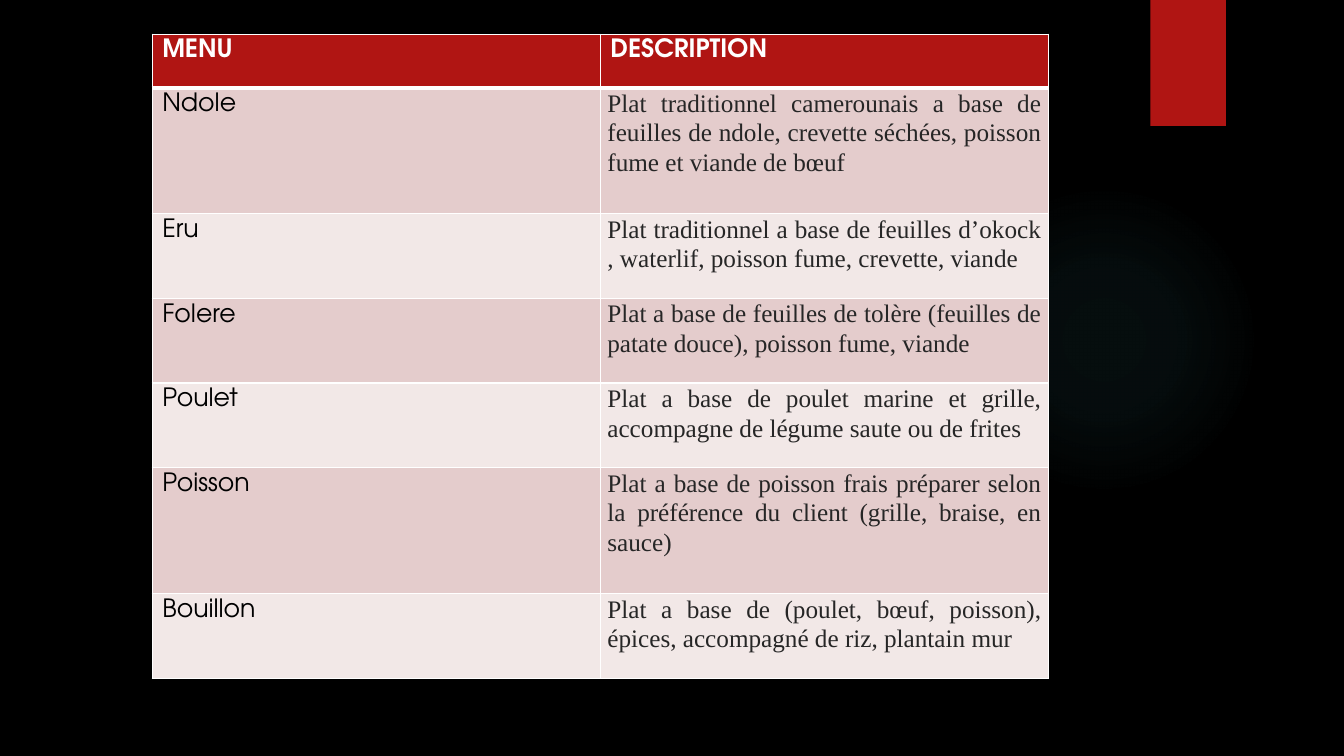
"""Build a restaurant menu slide with a two-column table."""
from dataclasses import dataclass

import lxml.etree
import pptx
import pptx.dml.color
import pptx.enum.shapes
import pptx.enum.text
import pptx.oxml
import pptx.oxml.ns
import pptx.util

Inches = pptx.util.Inches
Pt = pptx.util.Pt
RGB = pptx.dml.color.RGBColor.from_string
SHAPE = pptx.enum.shapes.MSO_SHAPE
ALIGN = pptx.enum.text.PP_ALIGN
NS = pptx.oxml.ns.nsdecls("a")


@dataclass(frozen=True)
class Theme:
    background: str = "000000"
    accent: str = "B01513"
    glow: str = "50B9C1"
    white: str = "FFFFFF"
    dish: str = "000000"
    body: str = "262626"
    bands: tuple = ("E4CCCC", "F2E8E7")
    heading_font: str = "TeX Gyre Adventor"
    body_font: str = "Times New Roman"
    size: int = 18
    thin: int = 1
    thick: int = 3


class MenuSlide:
    def __init__(self, prs, theme):
        self.theme = theme
        self.s = prs.slides.add_slide(prs.slide_layouts[6])
        fill = self.s.background.fill
        fill.solid()
        fill.fore_color.rgb = RGB(theme.background)

    def shape(self, kind, left, top, width, height):
        sp = self.s.shapes.add_shape(
            kind, Inches(left), Inches(top), Inches(width), Inches(height))
        sp.shadow.inherit = False
        sp.line.fill.background()
        return sp

    def glow(self, left, top, size):
        sp = self.shape(SHAPE.OVAL, left, top, size, size)
        sp.fill.gradient()
        grad = sp.element.spPr.find(pptx.oxml.ns.qn("a:gradFill"))
        stops = "".join(
            f'<a:gs pos="{pos * 1000}"><a:srgbClr val="{self.theme.glow}">'
            f'<a:alpha val="{alpha * 1000}"/></a:srgbClr></a:gs>'
            for pos, alpha in ((0, 7), (36, 6), (69, 0)))
        radial = pptx.oxml.parse_xml(
            f'<a:gradFill {NS} rotWithShape="1"><a:gsLst>{stops}</a:gsLst>'
            '<a:path path="circle"><a:fillToRect l="50000" t="50000" '
            'r="50000" b="50000"/></a:path></a:gradFill>')
        grad.getparent().replace(grad, radial)

    def ribbon(self, left, top, width, height):
        sp = self.shape(SHAPE.RECTANGLE, left, top, width, height)
        sp.fill.solid()
        sp.fill.fore_color.rgb = RGB(self.theme.accent)
        effects = sp.element.spPr.find(pptx.oxml.ns.qn("a:effectLst"))
        effects.append(pptx.oxml.parse_xml(
            f'<a:outerShdw {NS} blurRad="{Pt(3)}" dist="{Pt(2)}" dir="5400000">'
            '<a:srgbClr val="000000"><a:alpha val="45000"/></a:srgbClr>'
            '</a:outerShdw>'))

    def borders(self, cell, top, bottom):
        tcPr = cell._tc.get_or_add_tcPr()
        thin = self.theme.thin
        sides = (("lnL", thin), ("lnR", thin), ("lnT", top), ("lnB", bottom))
        for i, (side, width) in enumerate(sides):
            tcPr.insert(i, pptx.oxml.parse_xml(
                f'<a:{side} {NS} w="{Pt(width)}"><a:solidFill>'
                f'<a:srgbClr val="{self.theme.white}"/></a:solidFill></a:{side}>'))

    def cell(self, cell, text, fill, font, color, bold=False):
        cell.fill.solid()
        cell.fill.fore_color.rgb = RGB(fill)
        cell.text_frame.text = text
        p = cell.text_frame.paragraphs[0]
        r = p.runs[0]
        r.font.name = font
        r.font.size = Pt(self.theme.size)
        r.font.bold = bold
        r.font.color.rgb = RGB(color)
        return p

    def description(self, cell, text, fill):
        p = self.cell(cell, text, fill, self.theme.body_font, self.theme.body)
        p.alignment = ALIGN.JUSTIFY
        p.line_spacing = 1.07
        cell.margin_left = cell.margin_right = Inches(0.07)
        cell.margin_top = cell.margin_bottom = 0

    def table(self, left, top, width, heights, headings, dishes):
        t = self.theme
        table = self.s.shapes.add_table(
            len(heights), len(headings), Inches(left), Inches(top),
            Inches(width), Inches(sum(heights))).table
        for row, height in zip(table.rows, heights):
            row.height = Inches(height)
        for col, heading in enumerate(headings):
            self.cell(table.cell(0, col), heading, t.accent,
                      t.heading_font, t.white, bold=True)
        for i, (dish, text) in enumerate(dishes):
            band = t.bands[i % 2]
            self.cell(table.cell(i + 1, 0), dish, band, t.heading_font, t.dish)
            self.description(table.cell(i + 1, 1), text, band)
        for i in range(len(heights)):
            for col in range(len(headings)):
                self.borders(table.cell(i, col),
                             top=t.thick if i == 1 else t.thin,
                             bottom=t.thick if i == 0 else t.thin)


DISHES = (
    ("Ndole", "Plat traditionnel camerounais a base de feuilles de ndole, "
              "crevette séchées, poisson fume et viande de bœuf"),
    ("Eru", "Plat traditionnel a base de feuilles d’okock , waterlif, "
            "poisson fume, crevette, viande"),
    ("Folere", "Plat a base de feuilles de tolère (feuilles de patate douce), "
               "poisson fume, viande"),
    ("Poulet", "Plat a base de poulet marine et grille, accompagne de légume "
               "saute ou de frites"),
    ("Poisson", "Plat a base de poisson frais préparer selon la préférence du "
                "client (grille, braise, en sauce)"),
    ("Bouillon", "Plat a base de (poulet, bœuf, poisson), épices, accompagné "
                 "de riz, plantain mur"),
)


def main():
    prs = pptx.Presentation()
    prs.slide_width = Inches(13.33)
    prs.slide_height = Inches(7.5)
    menu = MenuSlide(prs, Theme())
    menu.glow(9.41, 1.83, 3.08)
    menu.ribbon(11.41, 0, 0.75, 1.25)
    menu.table(1.51, 0.34, 8.89, (0.53, 1.25, 0.84, 0.84, 0.84, 1.25, 0.84),
               ("MENU", "DESCRIPTION"), DISHES)
    prs.save("out.pptx")


if __name__ == "__main__":
    main()
